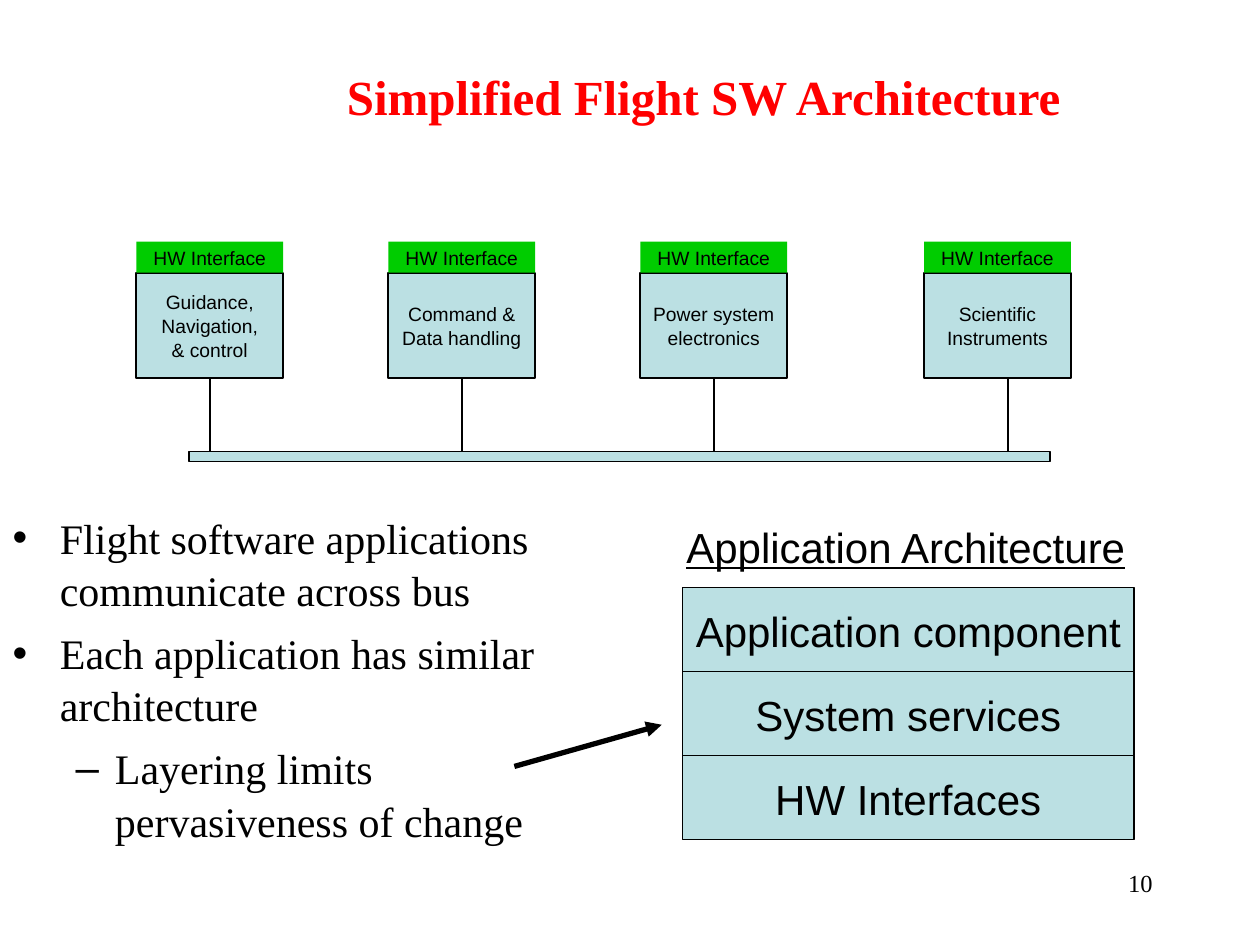
"""Build the slide on the simplified flight software architecture."""
from lxml import etree
from pptx import Presentation
from pptx.dml.color import RGBColor
from pptx.enum.shapes import MSO_CONNECTOR, MSO_SHAPE
from pptx.enum.text import MSO_ANCHOR, MSO_AUTO_SIZE, PP_ALIGN
from pptx.oxml.ns import qn
from pptx.util import Cm, Pt

RECTANGLE, STRAIGHT = MSO_SHAPE.RECTANGLE, MSO_CONNECTOR.STRAIGHT
CENTER, RIGHT = PP_ALIGN.CENTER, PP_ALIGN.RIGHT
TOP, MIDDLE = MSO_ANCHOR.TOP, MSO_ANCHOR.MIDDLE
NO_AUTOFIT = MSO_AUTO_SIZE.NONE
SERIF, SANS = "Times New Roman", "Arial"
BLACK, RED, GREEN, PALE_BLUE = "000000", "FF0000", "00CC00", "BBE0E3"

TITLE = "Simplified Flight SW Architecture"
MODULES = [
    ("Guidance,\nNavigation,\n& control", 2.75, 4.23),
    ("Command &\nData handling", 7.83, 9.31),
    ("Power system\nelectronics", 12.91, 14.39),
    ("Scientific\nInstruments", 18.63, 20.32),
]
POINTS = [
    ("Flight software applications communicate across bus", 0),
    ("Each application has similar architecture", 0),
    ("Layering limits pervasiveness of change", 1),
]
LAYERS = ["Application component", "System services", "HW Interfaces"]

MODULE_TOP, MODULE_WIDTH, MODULE_HEIGHT = 5.5, 2.96, 2.12
LABEL_HEIGHT = 0.63
BUS_TOP = 9.1
LAYER_LEFT, LAYER_TOP, LAYER_WIDTH, LAYER_HEIGHT = 13.76, 11.85, 9.1, 1.69


def color(code):
    return RGBColor.from_string(code)


def place(shape, left, top, width, height):
    shape.left, shape.top = Cm(left), Cm(top)
    shape.width, shape.height = Cm(width), Cm(height)


def write(shape, text, size, font=SANS, ink=BLACK, align=CENTER, anchor=MIDDLE, wrap=False):
    frame = shape.text_frame
    frame.text = text
    frame.word_wrap = wrap
    frame.auto_size = NO_AUTOFIT
    frame.vertical_anchor = anchor
    for para in frame.paragraphs:
        para.alignment = align
        para.line_spacing = 1.04
        for span in para.runs:
            span.font.name, span.font.size = font, Pt(size)
            span.font.color.rgb = color(ink)
    return frame


def add_box(shapes, area, fill, line_width=None):
    box = shapes.add_shape(RECTANGLE, *map(Cm, area))
    box.shadow.inherit = False
    box.fill.solid()
    box.fill.fore_color.rgb = color(fill)
    if line_width:
        box.line.color.rgb = color(BLACK)
        box.line.width = Pt(line_width)
    else:
        box.line.fill.background()
    return box


def add_line(shapes, ends, width):
    line = shapes.add_connector(STRAIGHT, *map(Cm, ends))
    line.line.color.rgb = color(BLACK)
    line.line.width = Pt(width)
    etree.SubElement(line._element.spPr, qn("a:effectLst"))
    return line


def add_bus_diagram(page):
    shapes = page.shapes.add_group_shape().shapes
    bottom = MODULE_TOP + MODULE_HEIGHT
    for name, left, stem in MODULES:
        box = add_box(shapes, (left, MODULE_TOP, MODULE_WIDTH, MODULE_HEIGHT), PALE_BLUE, 1)
        write(box, name, 11)
        label = add_box(shapes, (left, MODULE_TOP - LABEL_HEIGHT, MODULE_WIDTH, LABEL_HEIGHT), GREEN)
        write(label, "HW Interface", 11)
        add_line(shapes, (stem, bottom, stem, BUS_TOP), 1)
    add_box(shapes, (3.81, BUS_TOP, 17.36, 0.21), PALE_BLUE, 0.75)


def add_points(body):
    place(body, 0, 10.16, 11.64, 6.99)
    text = "\n".join(point for point, level in POINTS)
    frame = write(body, text, 24, SERIF, align=None, anchor=TOP, wrap=True)
    for index, (para, (point, level)) in enumerate(zip(frame.paragraphs, POINTS)):
        para.level = level
        para.space_before = Pt(6 if index else 0)


def add_layers(page):
    for index, name in enumerate(LAYERS):
        top = LAYER_TOP + index * LAYER_HEIGHT
        box = add_box(page.shapes, (LAYER_LEFT, top, LAYER_WIDTH, LAYER_HEIGHT), PALE_BLUE, 0.75)
        write(box, name, 24)
    arrow = add_line(page.shapes, (10.37, 15.45, 13.34, 14.61), 3)
    etree.SubElement(arrow.line._get_or_add_ln(), qn("a:tailEnd"), type="triangle")
    heading = page.shapes.add_textbox(Cm(13.56), Cm(10.36), Cm(9.4), Cm(1.28))
    frame = write(heading, "Application Architecture", 24)
    frame.paragraphs[0].runs[0].font.underline = True


def main():
    deck = Presentation()
    deck.slide_width, deck.slide_height = Cm(25.4), Cm(19.05)
    page = deck.slides.add_slide(deck.slide_layouts[1])
    title, body = page.placeholders
    place(title, 3.39, 0.85, 21.59, 2.12)
    frame = write(title, TITLE, 28, SERIF, RED, wrap=True)
    frame.paragraphs[0].runs[0].font.bold = True
    add_bus_diagram(page)
    add_points(body)
    add_layers(page)
    number = page.shapes.add_textbox(Cm(18.2), Cm(17.36), Cm(5.29), Cm(1.27))
    write(number, "10", 14, SERIF, align=RIGHT, anchor=TOP, wrap=True)
    deck.save("out.pptx")


if __name__ == "__main__":
    main()
